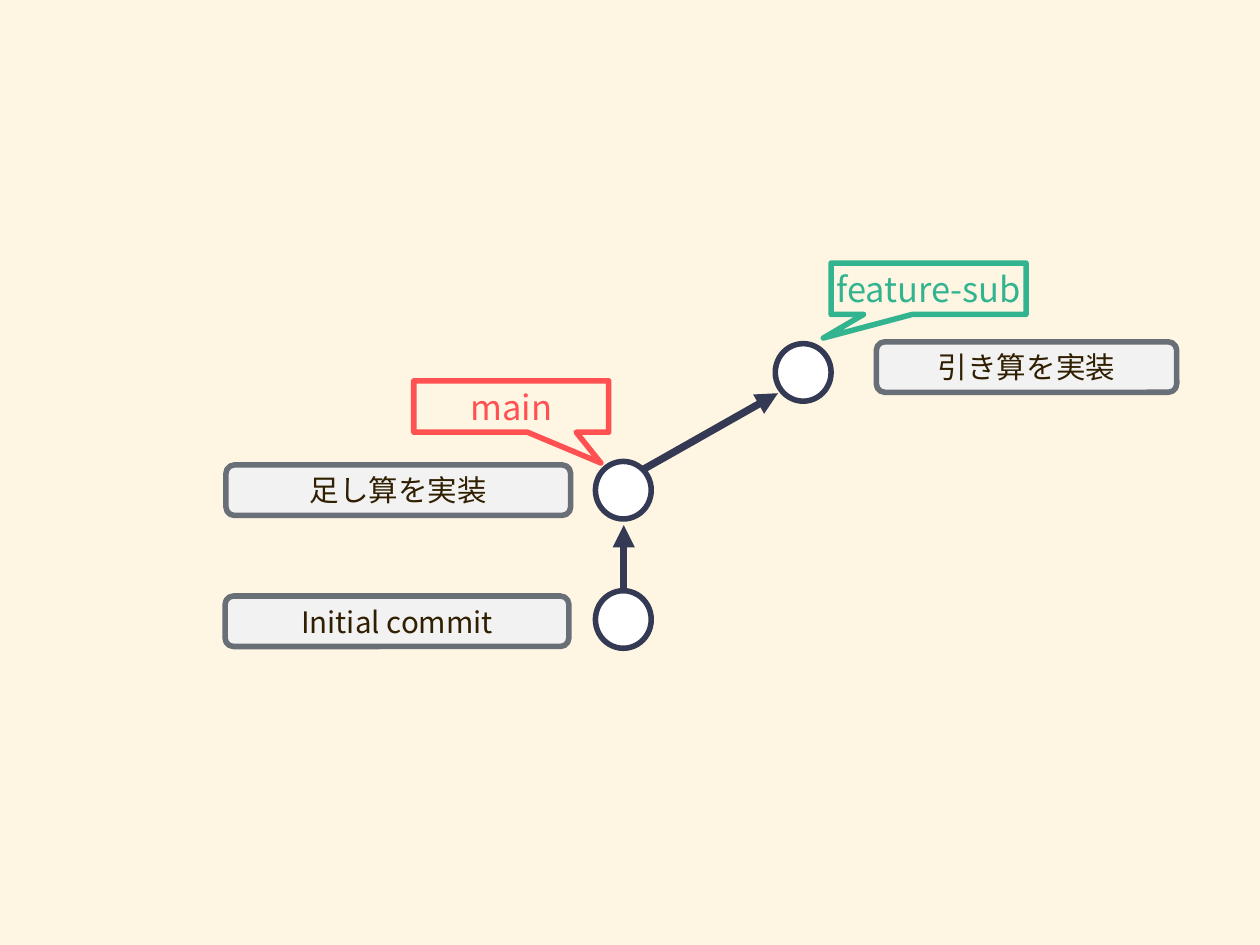
from dataclasses import dataclass

from lxml import etree
from pptx import Presentation
from pptx.dml.color import RGBColor
from pptx.enum.shapes import MSO_CONNECTOR, MSO_SHAPE
from pptx.enum.text import MSO_ANCHOR, PP_ALIGN
from pptx.oxml.ns import qn
from pptx.shapes.autoshape import Shape
from pptx.slide import Slide
from pptx.util import Inches, Pt

ROUNDED = MSO_SHAPE.ROUNDED_RECTANGLE
CIRCLE = MSO_SHAPE.FLOWCHART_CONNECTOR
CALLOUT = MSO_SHAPE.RECTANGULAR_CALLOUT
STRAIGHT = MSO_CONNECTOR.STRAIGHT
MIDDLE = MSO_ANCHOR.MIDDLE
CENTER = PP_ALIGN.CENTER

FONT = "Noto Sans CJK JP"
COLORS = {
    "background": "FFF5E3",
    "message": "F2F2F2",
    "message_border": "686F76",
    "message_text": "301F00",
    "commit": "FFFFFF",
    "graph": "343A54",
    "main": "FF5151",
    "feature": "33B490",
}
BORDER = Pt(4.5)
COMMIT_WIDTH, COMMIT_HEIGHT = 0.63, 0.65
MESSAGE_HEIGHT = 0.57
BRANCH_WIDTH, BRANCH_HEIGHT = 2.2, 0.58
TEXT_FRAME_FORMAT = {
    "margin_left": Inches(0.06),
    "margin_right": Inches(0.06),
    "margin_top": Inches(0.06),
    "margin_bottom": Inches(0.06),
    "vertical_anchor": MIDDLE,
    "word_wrap": False,
}


@dataclass(frozen=True)
class Commit:
    """A commit circle and the message box beside it."""
    left: float
    top: float
    message: str
    message_left: float
    message_top: float
    message_width: float


@dataclass(frozen=True)
class Branch:
    """A branch callout whose tip points at a commit."""
    name: str
    left: float
    top: float
    color: str
    tip: tuple[float, float]


@dataclass(frozen=True)
class Arrow:
    """A straight arrow between two commits."""
    start: tuple[float, float]
    end: tuple[float, float]


COMMITS = [
    Commit(6.72, 6.67, "Initial commit", 2.54, 6.73, 3.88),
    Commit(6.72, 5.21, "足し算を実装", 2.55, 5.25, 3.89),
    Commit(8.75, 3.88, "引き算を実装", 9.89, 3.86, 3.39),
]
ARROWS = [
    Arrow((7.04, 6.68), (7.04, 5.93)),
    Arrow((7.26, 5.3), (8.78, 4.44)),
]
BRANCHES = [
    Branch("feature-sub", 9.38, 2.97, "feature", (-0.54, 0.96)),
    Branch("main", 4.67, 4.3, "main", (0.46, 1.1)),
]


def rgb(name: str) -> RGBColor:
    """Look up a named colour."""
    return RGBColor.from_string(COLORS[name])


def add_outlined_shape(slide: Slide, kind: MSO_SHAPE, box: tuple[float, float, float, float],
                       fill: str, border: str) -> Shape:
    """Add a filled preset shape with a thick border and no shadow."""
    shape = slide.shapes.add_shape(kind, *(Inches(length) for length in box))
    shape.shadow.inherit = False
    shape.fill.solid()
    shape.fill.fore_color.rgb = rgb(fill)
    shape.line.color.rgb = rgb(border)
    shape.line.width = BORDER
    return shape


def write_text(shape: Shape, text: str, size: int, color: str) -> None:
    """Write one centred line of text in a shape."""
    for name, value in TEXT_FRAME_FORMAT.items():
        setattr(shape.text_frame, name, value)
    paragraph = shape.text_frame.paragraphs[0]
    paragraph.alignment = CENTER
    run = paragraph.add_run()
    run.text = text
    for name, value in {"name": FONT, "size": Pt(size)}.items():
        setattr(run.font, name, value)
    run.font.color.rgb = rgb(color)
    etree.SubElement(run._r.get_or_add_rPr(), qn("a:ea"), typeface=FONT)


def add_commit(slide: Slide, commit: Commit) -> None:
    """Draw a commit circle with its message."""
    circle_box = (commit.left, commit.top, COMMIT_WIDTH, COMMIT_HEIGHT)
    add_outlined_shape(slide, CIRCLE, circle_box, "commit", "graph")
    message_box = (commit.message_left, commit.message_top, commit.message_width, MESSAGE_HEIGHT)
    message = add_outlined_shape(slide, ROUNDED, message_box, "message", "message_border")
    write_text(message, commit.message, 24, "message_text")


def add_arrow(slide: Slide, arrow: Arrow) -> None:
    """Draw an arrow with a triangular head at its end."""
    points = (Inches(length) for length in arrow.start + arrow.end)
    connector = slide.shapes.add_connector(STRAIGHT, *points)
    connector.line.color.rgb = rgb("graph")
    connector.line.width = Pt(6)
    etree.SubElement(connector.line._get_or_add_ln(), qn("a:tailEnd"), type="triangle")
    etree.SubElement(connector._element.spPr, qn("a:effectLst"))


def add_branch(slide: Slide, branch: Branch) -> None:
    """Draw a branch callout."""
    box = (branch.left, branch.top, BRANCH_WIDTH, BRANCH_HEIGHT)
    callout = add_outlined_shape(slide, CALLOUT, box, "background", branch.color)
    for index, offset in enumerate(branch.tip):
        callout.adjustments[index] = offset
    write_text(callout, branch.name, 28, branch.color)


def main() -> None:
    """Build the commit graph slide and save it."""
    presentation = Presentation()
    presentation.slide_width = Inches(14.22)
    presentation.slide_height = Inches(10.67)
    slide = presentation.slides.add_slide(presentation.slide_layouts[6])
    slide.background.fill.solid()
    slide.background.fill.fore_color.rgb = rgb("background")
    for commit in COMMITS:
        add_commit(slide, commit)
    for arrow in ARROWS:
        add_arrow(slide, arrow)
    for branch in BRANCHES:
        add_branch(slide, branch)
    presentation.save("out.pptx")


main()
